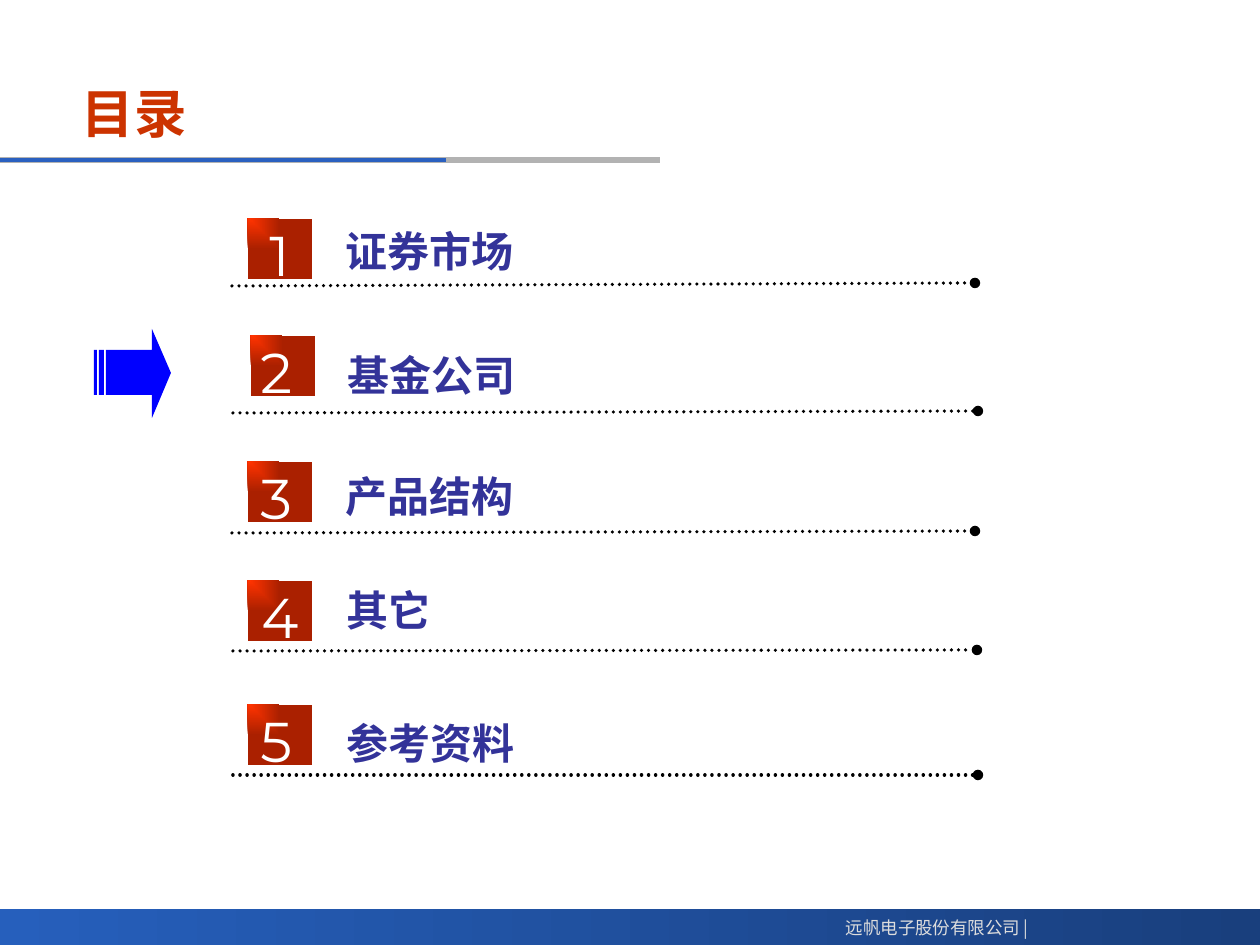
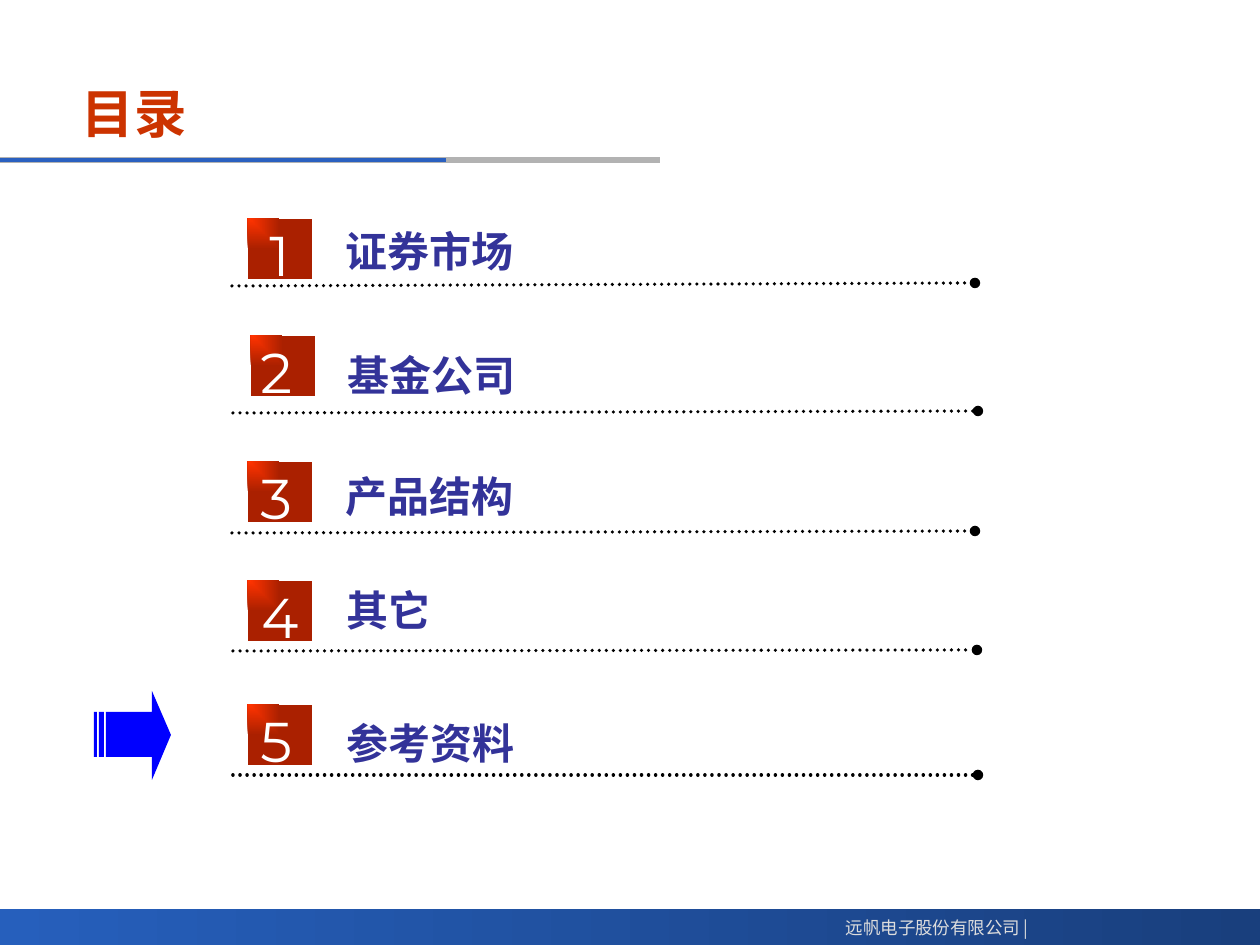
from dataclasses import dataclass

from lxml.etree import SubElement
from pptx import Presentation
from pptx.dml.color import RGBColor
from pptx.enum.dml import MSO_LINE
from pptx.enum.shapes import MSO_CONNECTOR, MSO_SHAPE
from pptx.enum.text import MSO_ANCHOR, MSO_AUTO_SIZE, PP_ALIGN
from pptx.oxml import parse_xml
from pptx.oxml.ns import nsdecls, qn
from pptx.util import Emu, Pt

PIXEL = 914400 // 126
CJK_FONT = "Noto Sans CJK SC"
COLORS = {
    "title": "CC3300", "label": "333399", "number": "FFFFFF", "footer": "DDDDDD",
    "band_start": "265FBC", "band_end": "193F7D",
    "rule_gray": "B2B2B2", "rule_blue": "2A60C0",
    "square_start": "FF3300", "square_end": "AA2000",
    "dots": "000000", "arrow": "0000FF",
}


@dataclass
class Entry:
    """One contents row; lengths are in pixels."""
    number: str
    label: str
    font: str
    square: tuple       # left, top
    number_left: int
    label_box: tuple    # left, top, width
    dots: tuple         # start x, start y, end x, end y


ENTRIES = [
    Entry("1", "证券市场", CJK_FONT, (248, 219), 248, (333, 219, 607), (232, 286, 975, 283)),
    Entry("2", "基金公司", CJK_FONT, (251, 336), 248, (335, 343, 607), (233, 413, 978, 411)),
    Entry("3", "产品结构", "Arial", (248, 462), 248, (333, 464, 538), (232, 533, 975, 531)),
    Entry("4", "其它", "Arial", (248, 581), 249, (334, 578, 538), (233, 651, 977, 650)),
    Entry("5", "参考资料", "Arial", (248, 705), 248, (334, 711, 483), (233, 775, 978, 775)),
]
ARROW_TOPS = [329, 691]


def px(*lengths):
    return [Emu(length * PIXEL) for length in lengths]


def rgb(name):
    return RGBColor.from_string(COLORS[name])


def write(frame, text, size, color, font, bold=False, align=PP_ALIGN.LEFT):
    para = frame.paragraphs[0]
    para.alignment = align
    span = para.add_run()
    span.text = text
    span.font.size = Pt(size)
    span.font.bold = bold
    span.font.name = font
    span.font.color.rgb = rgb(color)
    SubElement(span.font._element, qn("a:ea")).set("typeface", CJK_FONT)


def add_text(shapes, place, text, size, color, font, wrap=False, **style):
    box = shapes.add_textbox(*px(*place))
    box.text_frame.word_wrap = wrap
    box.text_frame.auto_size = MSO_AUTO_SIZE.SHAPE_TO_FIT_TEXT
    write(box.text_frame, text, size, color, font, **style)
    return box


def add_gradient_box(shapes, place, start, end, from_corner=False):
    box = shapes.add_shape(MSO_SHAPE.RECTANGLE, *px(*place))
    box.shadow.inherit = False
    box.line.fill.background()
    box.fill.gradient()
    box.fill.gradient_angle = 0
    for stop, color, position in zip(box.fill.gradient_stops, (start, end), (0, 1)):
        stop.color.rgb = rgb(color)
        stop.position = position
    if from_corner:
        # Radiate from the top left corner instead of running straight
        gradient = box.element.spPr.find(qn("a:gradFill"))
        gradient.replace(gradient.find(qn("a:lin")), parse_xml(
            f'<a:path {nsdecls("a")} path="rect">'
            '<a:fillToRect r="100000" b="100000"/></a:path>'))
    return box


def add_line(shapes, ends, color, width, dotted=False):
    line = shapes.add_connector(MSO_CONNECTOR.STRAIGHT, *px(*ends))
    line.line.color.rgb = rgb(color)
    line.line.width = Pt(width)
    if dotted:
        line.line.dash_style = MSO_LINE.ROUND_DOT
        outline = line.element.spPr.find(qn("a:ln"))
        outline.set("cap", "rnd")
        SubElement(outline, qn("a:tailEnd")).set("type", "oval")
    SubElement(line.element.spPr, qn("a:effectLst"))
    return line


def add_arrow(shapes, top):
    """Striped arrow: a head with its shaft, then two bars behind it."""
    upper, lower = top + 21, top + 66
    outlines = [[(152, top), (152, upper), (106, upper), (106, lower),
                 (152, lower), (152, top + 89), (171, top + 44)]]
    for left, right in ((99, 104), (94, 97)):
        outlines.append([(left, upper), (left, lower), (right, lower), (right, upper)])
    builder = shapes.build_freeform(*outlines[0][0], scale=PIXEL)
    for index, points in enumerate(outlines):
        if index:
            builder.move_to(*points[0])
        builder.add_line_segments(points[1:], close=True)
    arrow = builder.convert_to_shape()
    arrow.shadow.inherit = False
    arrow.fill.solid()
    arrow.fill.fore_color.rgb = rgb("arrow")
    arrow.line.fill.background()


def add_entry(shapes, entry):
    left, top = entry.square
    badge = shapes.add_group_shape().shapes
    add_gradient_box(badge, (left, top, 64, 60), "square_start", "square_end", True)
    align = PP_ALIGN.CENTER if entry.number == "1" else PP_ALIGN.LEFT
    add_text(badge, (entry.number_left, top - 5, 63, 79), entry.number, 32,
             "number", "Montserrat", align=align)
    add_line(shapes, entry.dots, "dots", 2, dotted=True)
    add_text(shapes, (*entry.label_box, 63), entry.label, 24, "label", entry.font,
             wrap=True, bold=True)


def furnish_layout(layout, shapes):
    """Draw the band, rules and footer, then move them to the shared layout."""
    parts = [
        add_gradient_box(shapes, (0, 909, 1260, 36), "band_start", "band_end"),
        add_line(shapes, (0, 160, 660, 160), "rule_gray", 3),
        add_line(shapes, (0, 160, 446, 160), "rule_blue", 2.25),
        add_text(shapes, (820, 911, 221, 34), "远帆电子股份有限公司 |", 10,
                 "footer", CJK_FONT, align=PP_ALIGN.RIGHT),
    ]
    for number, part in enumerate(parts, 20):
        part.element[0][0].set("id", str(number))
        layout.shapes.element.append(part.element)


def set_title(title, text):
    title.left, title.top, title.width, title.height = px(69, 71, 872, 84)
    title.text_frame.vertical_anchor = MSO_ANCHOR.MIDDLE
    write(title.text_frame, text, 30, "title", "Arial", bold=True)


def main():
    deck = Presentation()
    deck.slide_width, deck.slide_height = px(1260, 945)
    layout = deck.slide_layouts[5]
    for arrow_top in ARROW_TOPS:
        page = deck.slides.add_slide(layout)
        if len(deck.slides) == 1:
            furnish_layout(layout, page.shapes)
        set_title(page.shapes.title, "目录")
        add_arrow(page.shapes, arrow_top)
        for entry in ENTRIES:
            add_entry(page.shapes, entry)
    deck.save("out.pptx")


main()
